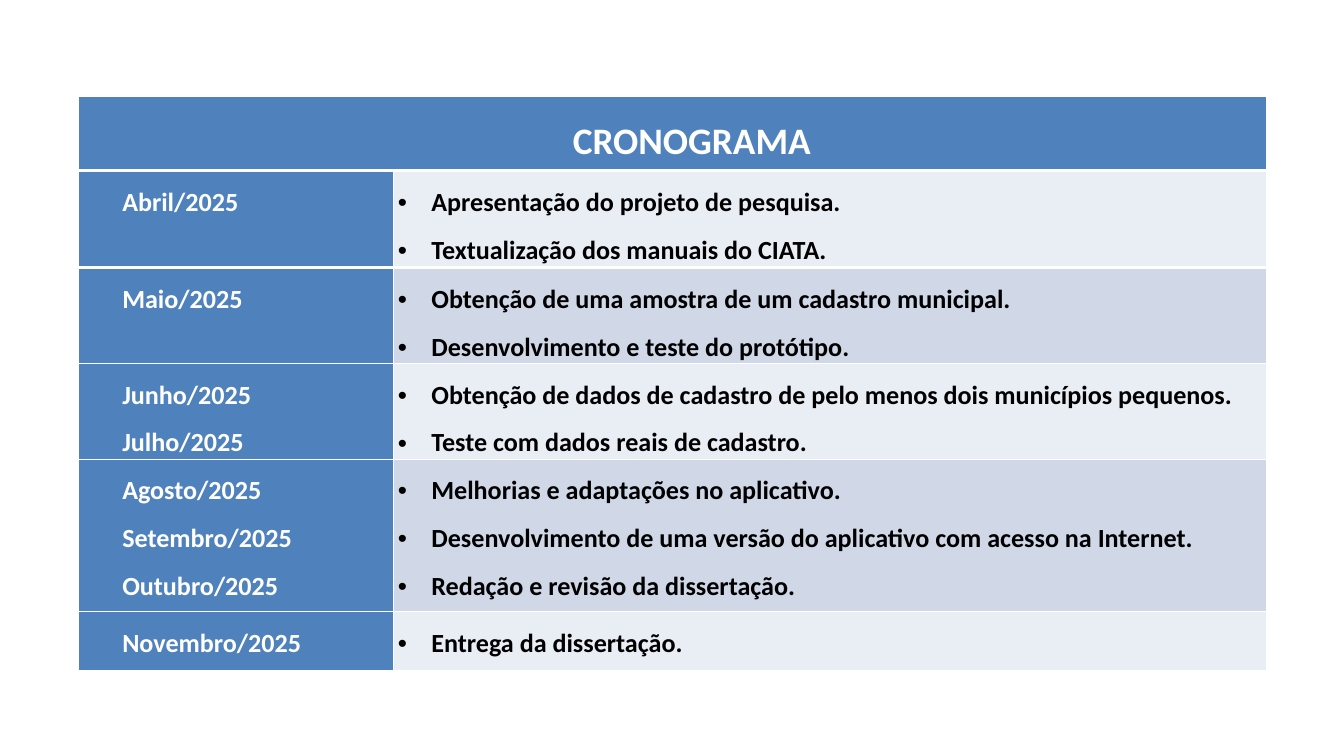
from dataclasses import dataclass

import pptx
import pptx.dml.color
import pptx.enum.text
import pptx.oxml
import pptx.oxml.ns
import pptx.table
import pptx.util
from pptx.util import Inches

COLORS = {
    "header": "4F81BD",
    "light_band": "E9EDF4",
    "dark_band": "D0D8E8",
    "white": "FFFFFF",
    "black": "000000",
}
FONT = "Calibri"
LEFT, TOP, WIDTH = 1.16, 1.43, 17.68
TITLE_HEIGHT = 1.11
MONTH_WIDTH = 4.69
JUSTIFY = pptx.enum.text.PP_ALIGN.JUSTIFY
CENTER = pptx.enum.text.PP_ALIGN.CENTER


@dataclass(frozen=True)
class Stage:
    months: list[str]
    tasks: list[str]
    height: float


@dataclass(frozen=True)
class CellStyle:
    fill: str
    color: str = "white"
    size: int = 28
    align: pptx.enum.text.PP_ALIGN = JUSTIFY
    margin: float = 0
    indent: float = 0.59
    bullet: bool = False


STAGES = [
    Stage(["Abril/2025"],
          ["Apresentação do projeto de pesquisa.",
           "Textualização dos manuais do CIATA."], 1.44),
    Stage(["Maio/2025"],
          ["Obtenção de uma amostra de um cadastro municipal.",
           "Desenvolvimento e teste do protótipo."], 1.35),
    Stage(["Junho/2025", "Julho/2025"],
          ["Obtenção de dados de cadastro de pelo menos dois municípios pequenos.",
           "Teste com dados reais de cadastro."], 1.35),
    Stage(["Agosto/2025", "Setembro/2025", "Outubro/2025"],
          ["Melhorias e adaptações no aplicativo.",
           "Desenvolvimento de uma versão do aplicativo com acesso na Internet.",
           "Redação e revisão da dissertação."], 2.27),
    Stage(["Novembro/2025"], ["Entrega da dissertação."], 0.88),
]


def rgb(name: str) -> pptx.dml.color.RGBColor:
    return pptx.dml.color.RGBColor.from_string(COLORS[name])


def xml_element(xml: str):
    namespace = pptx.oxml.ns.nsdecls("a")
    return pptx.oxml.parse_xml(xml.replace(" ", f" {namespace} ", 1))


def set_borders(cell: pptx.table._Cell, bottom: float) -> None:
    properties = cell._tc.get_or_add_tcPr()
    for side, points in (("L", 1), ("R", 1), ("T", 1), ("B", bottom)):
        properties.append(xml_element(
            f'<a:ln{side} w="{pptx.util.Pt(points)}"><a:solidFill>'
            f'<a:srgbClr val="{COLORS["white"]}"/></a:solidFill></a:ln{side}>'))


def fill_cell(cell: pptx.table._Cell, lines: list[str], style: CellStyle,
              bottom: float = 1) -> None:
    set_borders(cell, bottom)
    cell.fill.solid()
    cell.fill.fore_color.rgb = rgb(style.fill)
    cell.margin_left = cell.margin_right = Inches(0.07)
    cell.margin_top = cell.margin_bottom = 0
    cell.text_frame.text = "\n".join(lines)
    for paragraph in cell.text_frame.paragraphs:
        properties = paragraph._p.get_or_add_pPr()
        properties.set("marL", str(Inches(style.margin)))
        properties.set("indent", str(Inches(style.indent)))
        if style.bullet:
            for xml in (f'<a:buClr ><a:srgbClr val="{COLORS[style.color]}"/></a:buClr>',
                        '<a:buFont typeface="Arial"/>',
                        '<a:buChar char="•"/>'):
                properties.append(xml_element(xml))
        paragraph.alignment = style.align
        paragraph.line_spacing = 1.5
        for run in paragraph.runs:
            run.font.name = FONT
            run.font.size = pptx.util.Pt(style.size)
            run.font.bold = True
            run.font.color.rgb = rgb(style.color)


def add_grid(slide, top: float, widths: list[float],
             heights: list[float]) -> pptx.table.Table:
    grid = slide.shapes.add_table(
        len(heights), len(widths), Inches(LEFT), Inches(top),
        Inches(sum(widths)), Inches(sum(heights))).table
    for column, width in zip(grid.columns, widths):
        column.width = Inches(width)
    for row, height in zip(grid.rows, heights):
        row.height = Inches(height)
    return grid


def main() -> None:
    presentation = pptx.Presentation()
    presentation.slide_width = Inches(20)
    presentation.slide_height = Inches(11.25)
    slide = presentation.slides.add_slide(presentation.slide_layouts[6])

    # Schedule: months on the left, tasks on banded rows
    schedule = add_grid(slide, TOP + TITLE_HEIGHT,
                        [MONTH_WIDTH, WIDTH - MONTH_WIDTH],
                        [stage.height for stage in STAGES])
    month_style = CellStyle("header")
    for index, stage in enumerate(STAGES):
        band = "dark_band" if index % 2 else "light_band"
        task_style = CellStyle(band, "black", margin=0.5, indent=-0.5, bullet=True)
        bottom = 3 if index == 0 else 1
        fill_cell(schedule.cell(index, 0), stage.months, month_style, bottom)
        fill_cell(schedule.cell(index, 1), stage.tasks, task_style, bottom)

    # Heading band
    heading = add_grid(slide, TOP, [WIDTH], [TITLE_HEIGHT])
    fill_cell(heading.cell(0, 0), ["CRONOGRAMA"],
              CellStyle("header", size=40, align=CENTER), bottom=3)

    presentation.save("out.pptx")


if __name__ == "__main__":
    main()
